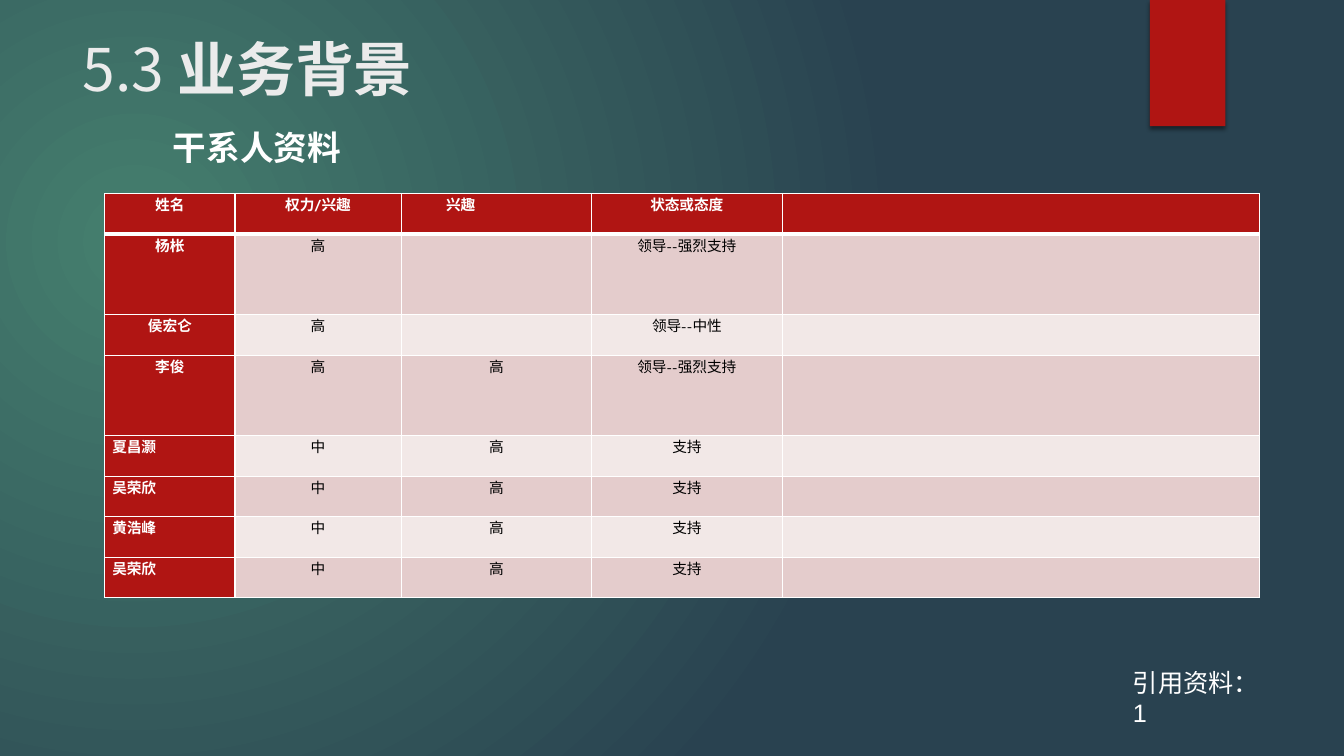
from dataclasses import dataclass

from lxml import etree
from pptx import Presentation
from pptx import util as u
from pptx.dml.color import RGBColor
from pptx.enum import shapes, text
from pptx.oxml import ns, parse_xml

COLOURS = {
    "teal": "457F6E", "navy": "294250", "glow": "50B9C1", "red": "B01513",
    "title": "EBEBEB", "white": "FFFFFF", "black": "000000",
    "band_dark": "E4CCCC", "band_light": "F2E8E7",
}
CJK_FONT = "Noto Sans CJK SC"
TABLE_FONT = "League Spartan"
CENTER, LEFT, JUSTIFY = text.PP_ALIGN.CENTER, text.PP_ALIGN.LEFT, text.PP_ALIGN.JUSTIFY


@dataclass
class Stakeholder:
    name: str
    power: str
    interest: str
    attitude: str
    name_align: text.PP_ALIGN = JUSTIFY
    height: float = 1.02


HEADERS = ["姓名", "权力/兴趣", "\t兴趣", "状态或态度", ""]
HEADER_HEIGHT = 1.02
COLUMN_WIDTHS = [3.28, 4.19, 4.8, 4.8, 12.04]
STAKEHOLDERS = [
    Stakeholder("杨枨", "高", "", "领导--强烈支持", CENTER, 2.03),
    Stakeholder("侯宏仑", "高", "", "领导--中性", CENTER),
    Stakeholder("李俊", "高", "高", "领导--强烈支持", CENTER, 2.03),
    Stakeholder("夏昌灏", "中", "高", "支持"),
    Stakeholder("吴荣欣", "中", "高", "支持"),
    Stakeholder("黄浩峰", "中", "高", "支持"),
    Stakeholder("吴荣欣", "中", "高", "支持"),
]


def rgb(name: str) -> RGBColor:
    return RGBColor.from_string(COLOURS[name])


def format_span(span, size: float, colour: str, bold: bool = False,
                latin: str = CJK_FONT) -> None:
    font = span.font
    font.size, font.bold, font.name = u.Pt(size), bold, latin
    font.color.rgb = rgb(colour)
    east_asian = etree.SubElement(span._r.get_or_add_rPr(), ns.qn("a:ea"))
    east_asian.set("typeface", CJK_FONT)


def set_circle_gradient(owner, stops: list[tuple[int, str, int]],
                        focus: tuple[int, int, int, int]) -> None:
    """Swap the owner's gradient for a circular one; stops are (position, colour, opacity) in percent."""
    stop_xml = "".join(
        f'<a:gs pos="{position * 1000}"><a:srgbClr val="{COLOURS[colour]}">'
        f'<a:alpha val="{opacity * 1000}"/></a:srgbClr></a:gs>'
        for position, colour, opacity in stops)
    left, top, right, bottom = (side * 1000 for side in focus)
    gradient = parse_xml(
        f'<a:gradFill {ns.nsdecls("a")} rotWithShape="1"><a:gsLst>{stop_xml}</a:gsLst>'
        f'<a:path path="circle"><a:fillToRect l="{left}" t="{top}" r="{right}" b="{bottom}"/>'
        f'</a:path></a:gradFill>')
    old = owner.find(ns.qn("a:gradFill"))
    owner.replace(old, gradient)


def add_background(page) -> None:
    page.background.fill.gradient()
    properties = next(page._element.iter(ns.qn("p:bgPr")))
    set_circle_gradient(properties, [(0, "teal", 100), (100, "navy", 100)], (45, 65, 125, 100))


def add_decor(page) -> None:
    glow = page.shapes.add_shape(shapes.MSO_SHAPE.OVAL, u.Cm(23.9), u.Cm(4.65), u.Cm(7.82), u.Cm(7.82))
    glow.shadow.inherit = False
    glow.line.fill.background()
    glow.fill.gradient()
    set_circle_gradient(glow._element.spPr, [(0, "glow", 7), (36, "glow", 6), (69, "glow", 0)],
                        (50, 50, 50, 50))

    ribbon = page.shapes.add_shape(shapes.MSO_SHAPE.RECTANGLE, u.Cm(28.98), 0, u.Cm(1.9), u.Cm(3.18))
    ribbon.fill.solid()
    ribbon.fill.fore_color.rgb = rgb("red")
    ribbon.line.fill.background()
    ribbon.shadow.inherit = False
    effects = ribbon._element.spPr.find(ns.qn("a:effectLst"))
    effects.append(parse_xml(
        f'<a:outerShdw {ns.nsdecls("a")} blurRad="{u.Pt(3)}" dist="{u.Pt(2)}" dir="5400000">'
        f'<a:srgbClr val="{COLOURS["black"]}"><a:alpha val="45000"/></a:srgbClr></a:outerShdw>'))


def add_title(page) -> None:
    title = page.shapes.title
    title.left, title.top, title.width, title.height = u.Cm(1.83), u.Cm(0.89), u.Cm(26.14), u.Cm(2.77)
    frame = title.text_frame
    frame.auto_size = text.MSO_AUTO_SIZE.NONE
    frame.vertical_anchor = text.MSO_ANCHOR.TOP
    para = frame.paragraphs[0]
    para.alignment, para.line_spacing = LEFT, 0.9
    for words, bold in (("5.3 ", False), ("业务背景", True)):
        span = para.add_run()
        span.text = words
        format_span(span, 42, "title", bold)


def add_label(page, words: str, left: float, top: float, width: float, height: float,
              size: float, bold: bool, latin: str) -> None:
    box = page.shapes.add_textbox(u.Cm(left), u.Cm(top), u.Cm(width), u.Cm(height))
    box.text_frame.word_wrap = True
    box.text_frame.text = words
    format_span(box.text_frame.paragraphs[0].runs[0], size, "white", bold, latin)


def set_borders(cell, bottom_points: float) -> None:
    properties = cell._tc.get_or_add_tcPr()
    sides = {"lnL": 1, "lnR": 1, "lnT": 1, "lnB": bottom_points}
    for index, (side, points) in enumerate(sides.items()):
        properties.insert(index, parse_xml(
            f'<a:{side} {ns.nsdecls("a")} w="{u.Pt(points)}"><a:solidFill>'
            f'<a:srgbClr val="{COLOURS["white"]}"/></a:solidFill></a:{side}>'))


def fill_cell(cell, words: str, fill: str, align: text.PP_ALIGN, heading: bool,
              bottom_points: float = 1) -> None:
    cell.margin_left = cell.margin_right = u.Cm(0.19)
    cell.margin_top = cell.margin_bottom = 0
    cell.fill.solid()
    cell.fill.fore_color.rgb = rgb(fill)
    set_borders(cell, bottom_points)
    cell.text_frame.text = words
    para = cell.text_frame.paragraphs[0]
    para.alignment = align
    for span in para.runs:
        format_span(span, 10.5, "white" if heading else "black", heading, TABLE_FONT)
    if words.startswith("\t"):
        para._p.get_or_add_pPr().append(parse_xml(
            f'<a:tabLst {ns.nsdecls("a")}><a:tab pos="{u.Cm(0.94)}" algn="l"/></a:tabLst>'))


def add_stakeholder_table(page) -> None:
    heights = [HEADER_HEIGHT] + [person.height for person in STAKEHOLDERS]
    table = page.shapes.add_table(
        len(heights), len(COLUMN_WIDTHS), u.Cm(2.64), u.Cm(4.88),
        u.Cm(sum(COLUMN_WIDTHS)), u.Cm(sum(heights))).table
    for column, width in zip(table.columns, COLUMN_WIDTHS):
        column.width = u.Cm(width)
    for row, height in zip(table.rows, heights):
        row.height = u.Cm(height)

    for index, words in enumerate(HEADERS):
        align = LEFT if words.startswith("\t") else CENTER
        fill_cell(table.cell(0, index), words, "red", align, True, 3)
    for number, person in enumerate(STAKEHOLDERS, start=1):
        band = "band_dark" if number % 2 else "band_light"
        fill_cell(table.cell(number, 0), person.name, "red", person.name_align, True)
        for index, words in enumerate((person.power, person.interest, person.attitude, ""), start=1):
            fill_cell(table.cell(number, index), words, band, CENTER, False)


def main() -> None:
    deck = Presentation()
    deck.slide_width, deck.slide_height = u.Cm(33.87), u.Cm(19.05)
    page = deck.slides.add_slide(deck.slide_layouts[5])
    add_background(page)
    add_decor(page)
    add_title(page)
    add_label(page, "引用资料：1", 28.3, 16.69, 3.9, 1.02, 18, False, "Arial")
    add_stakeholder_table(page)
    add_label(page, "干系人资料", 4.11, 3.07, 4.9, 1.5, 24, True, CJK_FONT)
    deck.save("out.pptx")


if __name__ == "__main__":
    main()
